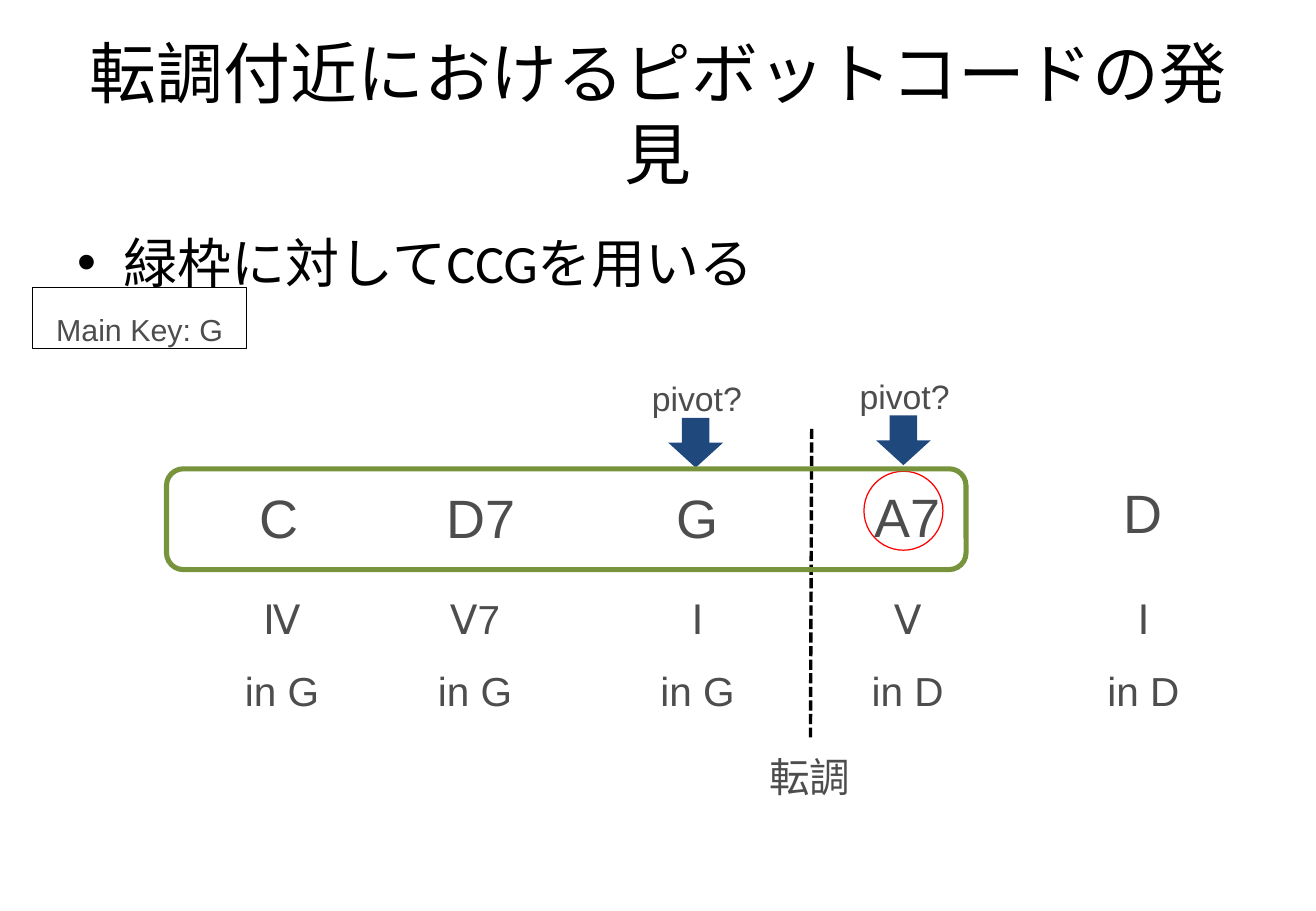
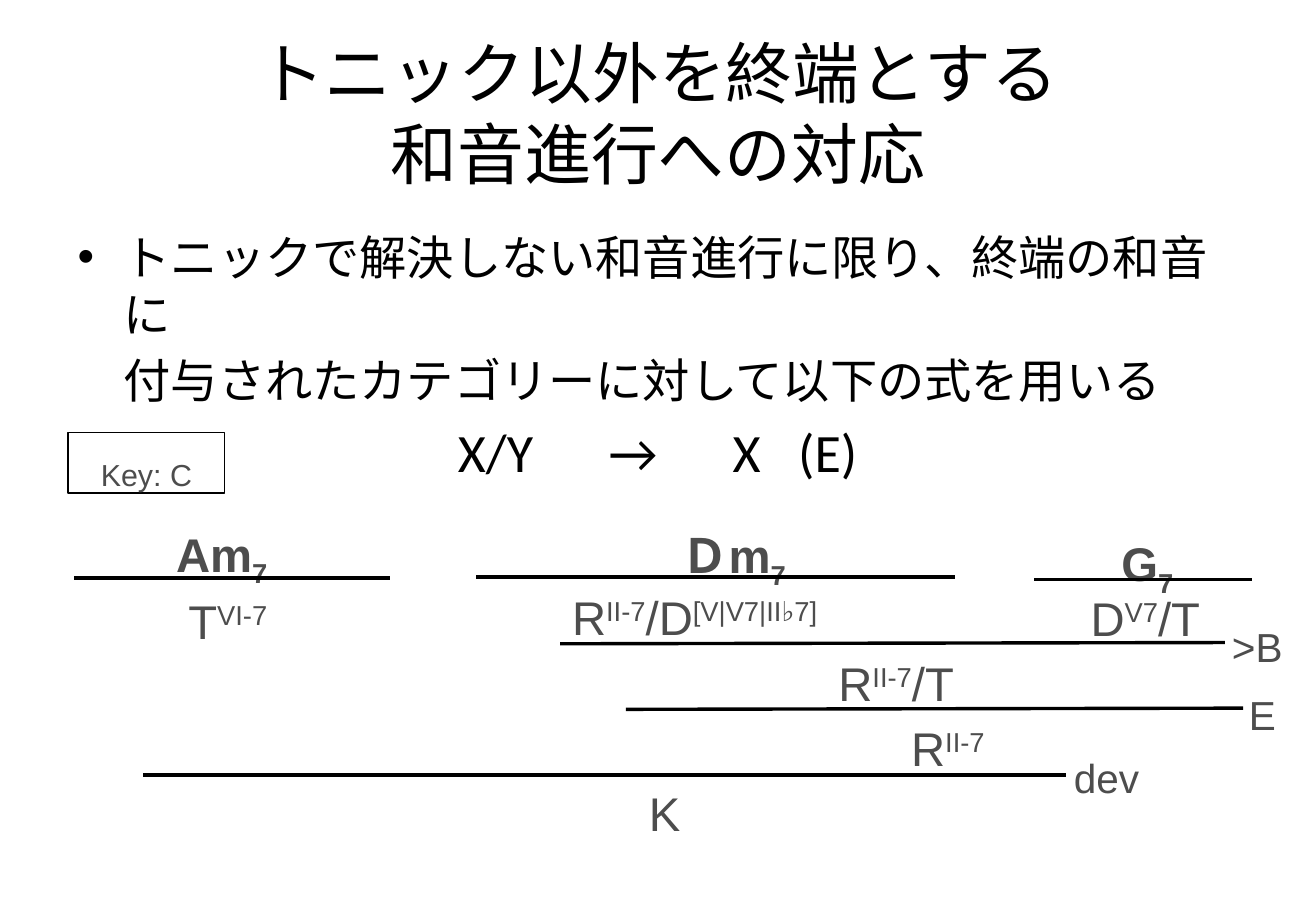
from lxml import etree
from pptx import Presentation
from pptx.dml.color import RGBColor
from pptx.enum.dml import MSO_LINE
from pptx.enum.shapes import MSO_CONNECTOR, MSO_SHAPE
from pptx.enum.text import MSO_ANCHOR, MSO_AUTO_SIZE, PP_ALIGN
from pptx.oxml.ns import qn
from pptx.util import Inches, Pt

# Shared style
BLACK, GREY, NAVY, GREEN, RED = "000000", "4D4D4D", "1F497D", "77933C", "FF0000"
CENTER, LEFT = PP_ALIGN.CENTER, PP_ALIGN.LEFT
TITLE_BOX = (0.54, 0.3, 9.75, 1.25)
BODY_BOX = (0.54, 1.75, 9.75, 4.95)
TITLE_FONT = {"name": "Calibri", "size": Pt(39.6)}
LABEL_SPACING = {"line": 1.4, "before": 0.1}
BODY_INDENT = 0.38


def color(hex_value):
    return RGBColor.from_string(hex_value)


def apply(target, values):
    for name, value in values.items():
        setattr(target, name, value)


def inches(box):
    return [Inches(value) for value in box]


def prepare_frame(text_frame, first_gap=0.0):
    """Common frame format; first_gap is the points above the first line."""
    apply(text_frame, {
        "word_wrap": True,
        "auto_size": MSO_AUTO_SIZE.NONE,
        "vertical_anchor": MSO_ANCHOR.TOP,
        "margin_left": Inches(0.1),
        "margin_right": Inches(0.1),
        "margin_top": Inches(0.05) + Pt(first_gap),
        "margin_bottom": Inches(0.05),
    })


def add_runs(paragraph, parts, font, hex_value):
    """parts is a string or a list of (text, baseline percent)."""
    for text, baseline in [(parts, 0)] if isinstance(parts, str) else parts:
        run = paragraph.add_run()
        run.text = text
        apply(run.font, font)
        run.font.color.rgb = color(hex_value)
        if baseline:
            run.font._element.set("baseline", str(baseline * 1000))


def fill_label(shape, lines, size, align=CENTER, bold=False):
    gap = size * LABEL_SPACING["before"]
    text_frame = shape.text_frame
    prepare_frame(text_frame, gap)
    for index, parts in enumerate(lines):
        paragraph = text_frame.add_paragraph() if index else text_frame.paragraphs[0]
        apply(paragraph, {
            "alignment": align,
            "line_spacing": LABEL_SPACING["line"],
            "space_before": Pt(gap if index else 0),
        })
        add_runs(paragraph, parts, {"name": "Arial", "size": Pt(size), "bold": bold}, GREY)


def add_label(slide, box, lines, size, align=CENTER, bold=False):
    fill_label(slide.shapes.add_textbox(*inches(box)), lines, size, align, bold)


def add_preset(slide, kind, box, fill=None, line=None, width=0.75):
    shape = slide.shapes.add_shape(kind, *inches(box))
    shape.shadow.inherit = False
    if fill:
        shape.fill.solid()
        shape.fill.fore_color.rgb = color(fill)
    else:
        shape.fill.background()
    if line:
        shape.line.color.rgb = color(line)
        shape.line.width = Pt(width)
    else:
        shape.line.fill.background()
    return shape


def add_line(slide, start, end, dash=None):
    line = slide.shapes.add_connector(MSO_CONNECTOR.STRAIGHT, *inches(start + end))
    line.line.color.rgb = color(BLACK)
    line.line.width = Pt(2)
    if dash:
        line.line.dash_style = dash
    etree.SubElement(line._element.spPr, qn("a:effectLst"))


def add_key(slide, box, text):
    fill_label(add_preset(slide, MSO_SHAPE.RECTANGLE, box, line=BLACK), [text], 18)


def add_titled_slide(presentation, title):
    slide = presentation.slides.add_slide(presentation.slide_layouts[5])
    placeholder = slide.shapes.title
    apply(placeholder, dict(zip(("left", "top", "width", "height"), inches(TITLE_BOX))))
    prepare_frame(placeholder.text_frame)
    placeholder.text_frame.vertical_anchor = MSO_ANCHOR.MIDDLE
    placeholder.text_frame.text = title
    paragraph = placeholder.text_frame.paragraphs[0]
    paragraph.alignment = CENTER
    for run in paragraph.runs:
        apply(run.font, TITLE_FONT)
        run.font.color.rgb = color(BLACK)
    return slide


def add_body(slide, box, lines):
    """lines holds (text, size, bullet, tab stops in inches)."""
    text_frame = slide.shapes.add_textbox(*inches(box)).text_frame
    prepare_frame(text_frame, lines[0][1] * 0.2)
    for index, (text, size, bullet, stops) in enumerate(lines):
        paragraph = text_frame.add_paragraph() if index else text_frame.paragraphs[0]
        properties = paragraph._p.get_or_add_pPr()
        if not stops:
            properties.set("marL", str(Inches(BODY_INDENT)))
        if bullet:
            properties.set("indent", str(-Inches(BODY_INDENT)))
            etree.SubElement(properties, qn("a:buFont"), typeface="Arial")
            etree.SubElement(properties, qn("a:buChar"), char="•")
        if stops:
            tab_list = etree.SubElement(properties, qn("a:tabLst"))
            for stop in stops:
                etree.SubElement(tab_list, qn("a:tab"), pos=str(Inches(stop)), algn="l")
        paragraph.space_before = Pt(size * 0.2 if index else 0)
        add_runs(paragraph, text, {"name": "Calibri", "size": Pt(size)}, BLACK)


# Slide 1: chord row, its degrees and the pivot candidates
def add_chord(slide, center, top, chord):
    add_label(slide, (center - 0.485, top, 0.97, 0.82), [chord], 32)


def add_degree(slide, center, top, degree, key):
    add_label(slide, (center - 0.945, top, 1.89, 1.25), [degree, f"in {key}"], 24)


def add_pivot(slide, left, top):
    add_preset(slide, MSO_SHAPE.DOWN_ARROW, (left + 0.71, top + 0.54, 0.45, 0.41), fill=NAVY)
    add_label(slide, (left, top, 1.89, 0.55), ["pivot?"], 20)


def add_progression(slide, left, top):
    add_preset(slide, MSO_SHAPE.OVAL, (left + 5.74, top + 0.02, 0.65, 0.65), line=RED)
    # Chord, its centre and top, degree, its centre, key
    columns = [
        ("C", 0.93, -0.18, "Ⅳ", 0.95, "G"),
        ("D7", 2.59, -0.18, "Ⅴ7", 2.54, "G"),
        ("G", 4.37, -0.18, "Ⅰ", 4.37, "G"),
        ("A7", 6.1, -0.19, "Ⅴ", 6.1, "D"),
        ("D", 8.04, -0.22, "Ⅰ", 8.04, "D"),
    ]
    for chord, chord_center, chord_top, degree, degree_center, key in columns:
        add_chord(slide, left + chord_center, top + chord_top, chord)
        add_degree(slide, left + degree_center, top + 0.79, degree, key)
    # Modulation boundary
    add_line(slide, (left + 5.31, top - 0.33), (left + 5.3, top + 2.21), MSO_LINE.SQUARE_DOT)
    add_label(slide, (left + 4.35, top + 2.09, 1.89, 0.64), ["転調"], 24)
    for pivot_left, pivot_top in [(3.42, -0.96), (5.13, -0.98)]:
        add_pivot(slide, left + pivot_left, top + pivot_top)
    add_preset(slide, MSO_SHAPE.ROUNDED_RECTANGLE, (left, top, 6.58, 0.83), line=GREEN, width=3)


def build_pivot_slide(presentation):
    slide = add_titled_slide(presentation, "転調付近におけるピボットコードの発見")
    add_body(slide, BODY_BOX, [("緑枠に対してCCGを用いる", 32, True, None)])
    add_key(slide, (0.27, 2.37, 1.76, 0.5), "Main Key: G")
    add_progression(slide, 1.37, 3.86)


# Slide 2: derivation tree
def add_derivation(slide, left, top):
    # Chord names
    for x, y, name in [(0.75, 0.02, "Am"), (4.91, 0.03, "Ｄm"), (8.53, 0.1, "G")]:
        add_label(slide, (left + x, top + y, 1.21, 0.73), [[(name, 0), ("7", -25)]],
                  28, LEFT, bold=True)
    # Inference lines: start x, start y, end x, end y
    for x1, y1, x2, y2 in [
        (0.01, 0.76, 2.61, 0.76),
        (3.32, 0.75, 7.26, 0.75),
        (7.91, 0.77, 9.7, 0.77),
        (4.01, 1.3, 9.48, 1.29),
        (4.55, 1.84, 9.63, 1.83),
        (0.58, 2.38, 8.17, 2.38),
    ]:
        add_line(slide, (left + x1, top + y1), (left + x2, top + y2))
    # Rule names
    for x, y, width, rule in [(9.44, 0.88, 0.65, ">B"), (9.58, 1.44, 0.65, "E"),
                              (8.14, 1.96, 1.06, "dev")]:
        add_label(slide, (left + x, top + y, width, 0.64), [rule], 24, LEFT)
    # Categories
    minor_two = [("R", 0), ("II-7", 30)]
    for x, y, width, align, category in [
        (0.58, 0.6, 1.39, CENTER, [("T", 0), ("VI-7", 30)]),
        (4.01, 0.57, 2.72, LEFT, minor_two + [("/D", 0), ("[V|V7|II♭7]", 30)]),
        (8.17, 0.58, 1.31, CENTER, [("D", 0), ("V7", 30), ("/T", 0)]),
        (6.05, 1.11, 1.45, CENTER, minor_two + [("/T", 0)]),
        (6.8, 1.65, 0.99, LEFT, minor_two),
        (3.64, 2.18, 2.46, CENTER, "K"),
    ]:
        add_label(slide, (left + x, top + y, width, 0.73), [category], 28, align)


def build_derivation_slide(presentation):
    slide = add_titled_slide(presentation, "トニック以外を終端とする\v和音進行への対応")
    add_body(slide, BODY_BOX, [
        ("トニックで解決しない和音進行に限り、終端の和音に", 28, True, None),
        ("付与されたカテゴリーに対して以下の式を用いる", 28, False, None),
        ("\tX/Y\t→\tX\t(E)", 32, False, (3.13, 4.37, 5.39, 5.93)),
    ])
    add_derivation(slide, 0.6, 4)
    add_key(slide, (0.56, 3.56, 1.29, 0.5), "Key: C")


def main():
    presentation = Presentation()
    presentation.slide_width, presentation.slide_height = Inches(10.83), Inches(7.5)
    build_pivot_slide(presentation)
    build_derivation_slide(presentation)
    presentation.save("out.pptx")


if __name__ == "__main__":
    main()
